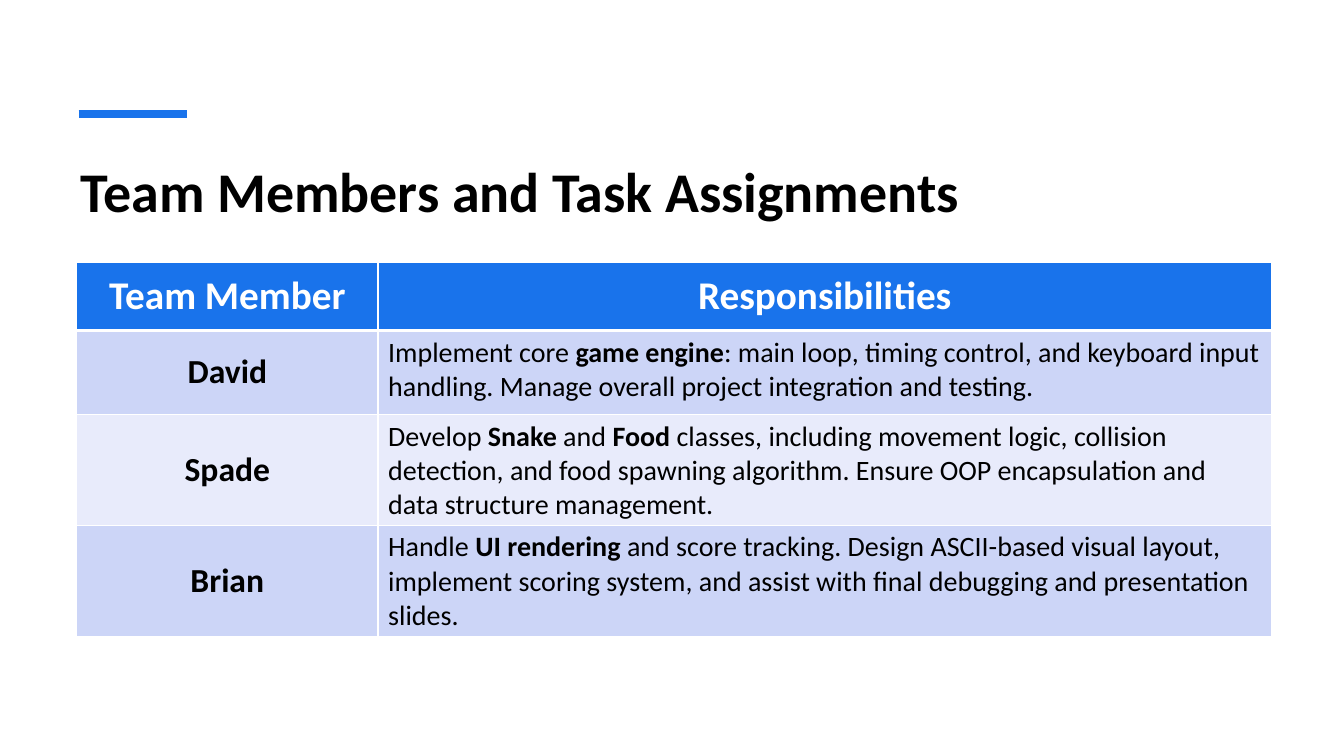
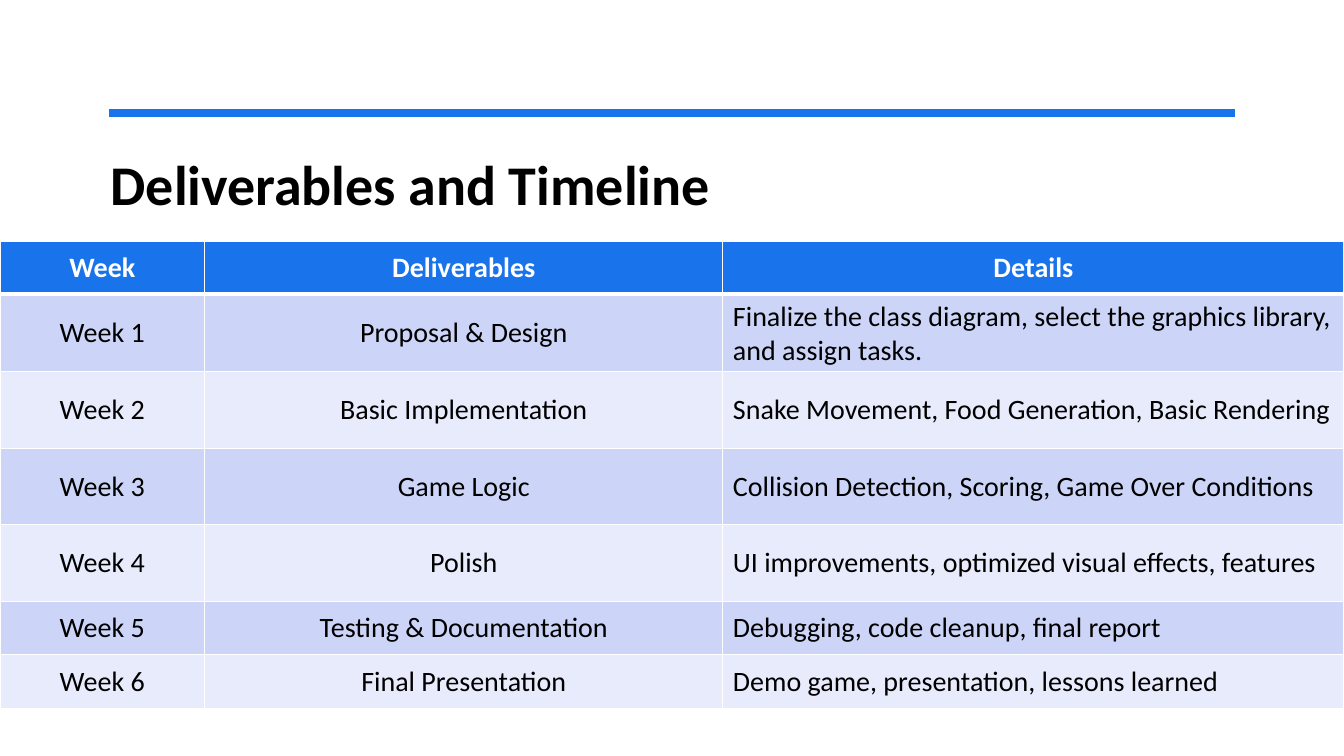
from lxml.etree import SubElement
from pptx import Presentation
from pptx.dml.color import RGBColor
from pptx.enum.shapes import MSO_CONNECTOR as Connector
from pptx.enum.text import MSO_ANCHOR as Anchor, PP_ALIGN as Align
from pptx.oxml import parse_xml
from pptx.oxml.ns import nsdecls, qn
from pptx.util import Inches, Pt

# Shared look
FONT = "Calibri"
BLUE, WHITE, BLACK = "1973EB", "FFFFFF", "000000"
BANDS = ("CCD5F7", "E8EBFB")
TITLE = {"size": Pt(40), "bold": True}

# Content: text between ** marks is bold
SLIDES = [
    {
        "title": "Team Members and Task Assignments",
        "title_box": (0.7, 1.5, 11.91, 1.2),
        "rule": (0.78, 1.85, 1.13),
        "table_at": (0.76, 2.6),
        "columns": (2.99, 8.86),
        "heights": (0.68, 0.83, 1.1, 1.1),
        "header_size": 28,
        "body_sizes": (24, 20),
        "body_anchors": (Anchor.MIDDLE, Anchor.TOP),
        "rows": [
            ("Team Member", "Responsibilities"),
            ("**David**", "Implement core **game engine**: main loop, timing control, and "
             "keyboard input handling. Manage overall project integration and testing."),
            ("**Spade**", "Develop **Snake** and **Food** classes, including movement logic, "
             "collision detection, and food spawning algorithm. Ensure OOP encapsulation "
             "and data structure management."),
            ("**Brian**", "Handle **UI rendering** and score tracking. Design ASCII-based "
             "visual layout, implement scoring system, and assist with final debugging "
             "and presentation slides."),
        ],
    },
    {
        "title": "Deliverables and Timeline",
        "title_box": (1, 1.43, 11.33, 0.81),
        "rule": (1.08, 12.25, 1.12),
        "table_at": (0, 2.39),
        "columns": (2.03, 5.14, 6.16),
        "heights": (0.53, 0.76, 0.76, 0.76, 0.76, 0.53, 0.53),
        "header_size": 20,
        "body_sizes": (20, 20, 20),
        "body_anchors": (Anchor.MIDDLE,) * 3,
        "rows": [
            ("Week", "Deliverables", "Details"),
            ("Week 1", "Proposal & Design",
             "Finalize the class diagram, select the graphics library, and assign tasks."),
            ("Week 2", "Basic Implementation",
             "Snake Movement, Food Generation, Basic Rendering"),
            ("Week 3", "Game Logic", "Collision Detection, Scoring, Game Over Conditions"),
            ("Week 4", "Polish", "UI improvements, optimized visual effects, features"),
            ("Week 5", "Testing & Documentation", "Debugging, code cleanup, final report"),
            ("Week 6", "Final Presentation", "Demo game, presentation, lessons learned"),
        ],
    },
]


def rgb(value):
    return RGBColor.from_string(value)


def add_run(paragraph, text, color, formats):
    run = paragraph.add_run()
    run.text = text
    run.font.color.rgb = rgb(color)
    for name, value in {"name": FONT, **formats}.items():
        setattr(run.font, name, value)


def add_title(slide, text, box):
    frame = slide.shapes.add_textbox(*map(Inches, box)).text_frame
    frame.word_wrap = True
    add_run(frame.paragraphs[0], text, BLACK, TITLE)


def add_rule(slide, left, right, y):
    line = slide.shapes.add_connector(
        Connector.STRAIGHT, *map(Inches, (left, y, right, y)))
    line.line.color.rgb = rgb(BLUE)
    line.line.width = Pt(6)
    SubElement(line._element.spPr, qn("a:effectLst"))


def set_borders(cell, top, bottom):
    # Borders stand before the fill in the cell properties
    properties = cell._tc.get_or_add_tcPr()
    widths = {"lnL": 1, "lnR": 1, "lnT": top, "lnB": bottom}
    for index, (side, width) in enumerate(widths.items()):
        properties.insert(index, parse_xml(
            f'<a:{side} {nsdecls("a")} w="{Pt(width)}"><a:solidFill>'
            f'<a:srgbClr val="{WHITE}"/></a:solidFill></a:{side}>'))


def fill_cell(cell, text, row, column, data):
    header = row == 0
    last_column = column == len(data["columns"]) - 1
    cell.fill.solid()
    cell.fill.fore_color.rgb = rgb(BLUE if header else BANDS[(row - 1) % 2])
    cell.vertical_anchor = Anchor.MIDDLE if header else data["body_anchors"][column]
    set_borders(cell, top=3 if row == 1 else 1, bottom=3 if header else 1)

    paragraph = cell.text_frame.paragraphs[0]
    paragraph.alignment = Align.LEFT if last_column and not header else Align.CENTER
    size = data["header_size"] if header else data["body_sizes"][column]
    for index, part in enumerate(text.split("**")):
        if part:
            add_run(paragraph, part, WHITE if header else BLACK,
                    {"size": Pt(size), "bold": header or index % 2 == 1})


def add_table(slide, data):
    columns, heights = data["columns"], data["heights"]
    frame = (*data["table_at"], sum(columns), sum(heights))
    table = slide.shapes.add_table(
        len(heights), len(columns), *map(Inches, frame)).table
    table.horz_banding = False
    for column, width in zip(table.columns, columns):
        column.width = Inches(width)
    for row, height in zip(table.rows, heights):
        row.height = Inches(height)
    for row, texts in enumerate(data["rows"]):
        for column, text in enumerate(texts):
            fill_cell(table.cell(row, column), text, row, column, data)


def main():
    presentation = Presentation()
    presentation.slide_width = Inches(13.33)
    presentation.slide_height = Inches(7.5)
    for data in SLIDES:
        slide = presentation.slides.add_slide(presentation.slide_layouts[6])
        add_rule(slide, *data["rule"])
        add_title(slide, data["title"], data["title_box"])
        add_table(slide, data)
    presentation.save("out.pptx")


if __name__ == "__main__":
    main()
